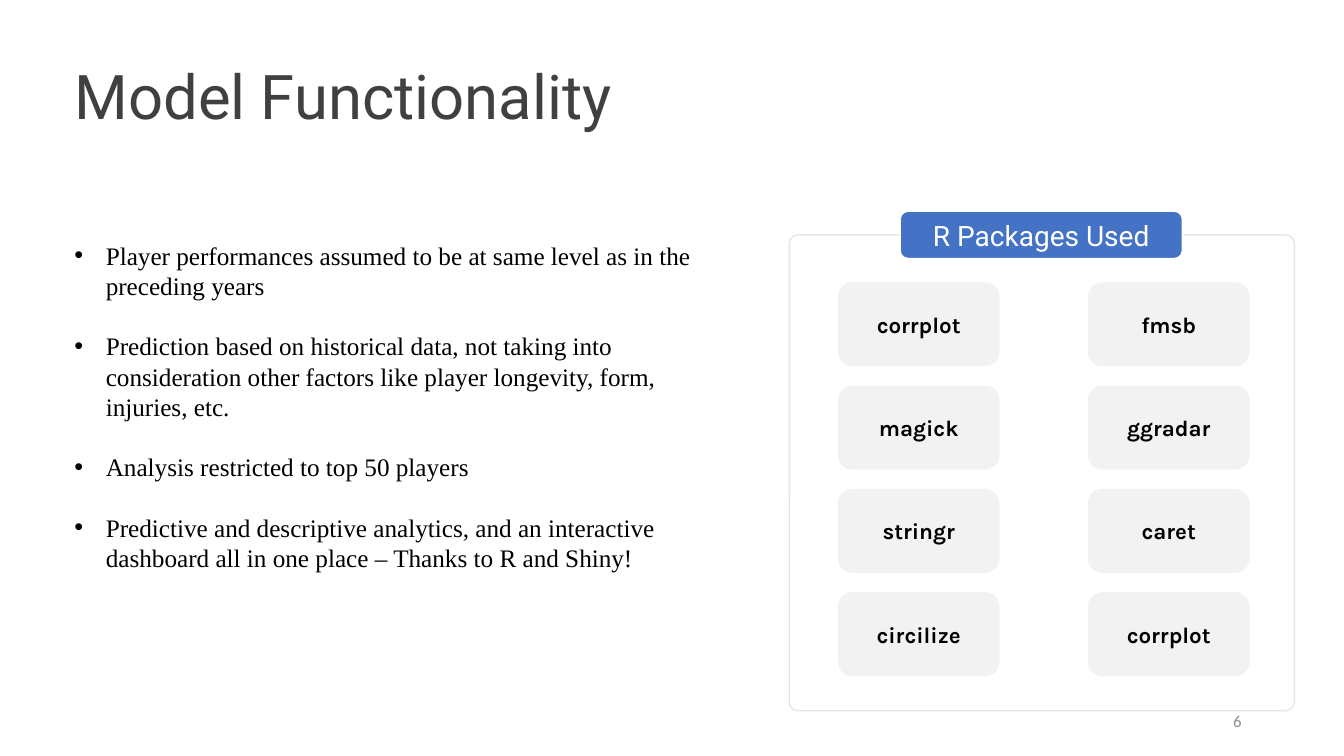
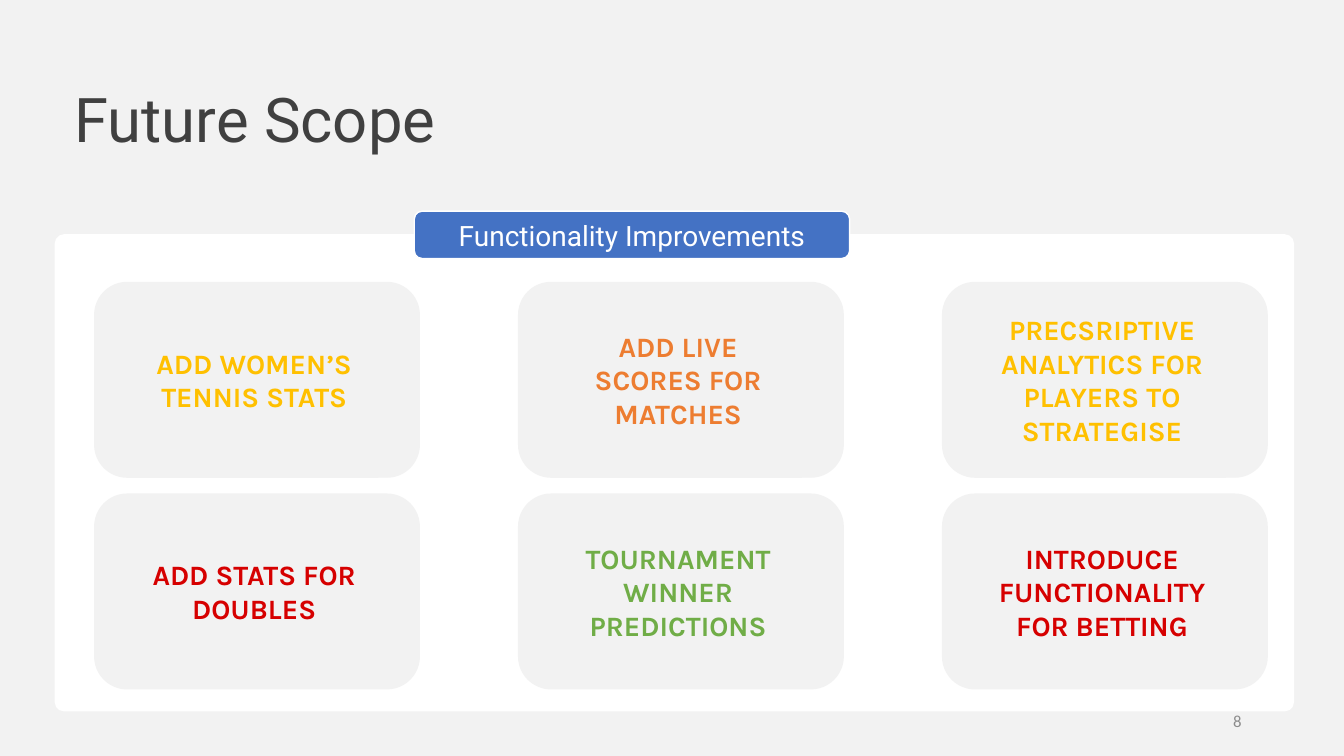
from pptx import Presentation
from pptx.dml.color import RGBColor
from pptx.enum.shapes import MSO_SHAPE
from pptx.enum.text import MSO_ANCHOR, MSO_AUTO_SIZE, PP_ALIGN
from pptx.oxml.xmlchemy import OxmlElement
from pptx.util import Pt

WHITE = RGBColor(0xFF, 0xFF, 0xFF)
BLACK = RGBColor(0x00, 0x00, 0x00)
PALE = RGBColor(0xF2, 0xF2, 0xF2)
BORDER = RGBColor(0xE7, 0xE6, 0xE6)
BLUE = RGBColor(0x44, 0x72, 0xC4)
CHARCOAL = RGBColor(0x40, 0x40, 0x40)
GRAY = RGBColor(0x8C, 0x8C, 0x8C)
GOLD = RGBColor(0xFF, 0xC0, 0x00)
ORANGE = RGBColor(0xED, 0x7D, 0x31)
RED = RGBColor(0xD6, 0x00, 0x00)
GREEN = RGBColor(0x70, 0xAD, 0x47)

TITLE_ONLY = 5
TAB_HEIGHT = 33.8
BULLET_INDENT = 22.5
BULLET_LINE = 21.6

ASSUMPTIONS = [
    "Player performances assumed to be at same level as in the preceding years",
    "Prediction based on historical data, not taking into consideration other "
    "factors like player longevity, form, injuries, etc.",
    "Analysis restricted to top 50 players",
    "Predictive and descriptive analytics, and an interactive dashboard all in "
    "one place – Thanks to R and Shiny!",
]
PACKAGES = [
    ("corrplot", "fmsb"),
    ("magick", "ggradar"),
    ("stringr", "caret"),
    ("circilize", "corrplot"),
]
IMPROVEMENTS = [
    [("ADD WOMEN’S TENNIS STATS", GOLD),
     ("ADD LIVE SCORES FOR MATCHES", ORANGE),
     ("PRECSRIPTIVE ANALYTICS FOR PLAYERS TO STRATEGISE", GOLD)],
    [("ADD STATS FOR DOUBLES", RED),
     ("TOURNAMENT WINNER PREDICTIONS", GREEN),
     ("INTRODUCE FUNCTIONALITY FOR BETTING", RED)],
]


def format_text(tf, font, size, color, align=PP_ALIGN.LEFT, bold=False):
    tf.word_wrap = True
    for p in tf.paragraphs:
        p.alignment = align
        for r in p.runs:
            r.font.name = font
            r.font.size = Pt(size)
            r.font.bold = bold
            r.font.color.rgb = color


def add_text_box(s, box):
    return s.shapes.add_textbox(*map(Pt, box)).text_frame


def add_round_rect(s, box, fill, line, corner=None):
    sp = s.shapes.add_shape(MSO_SHAPE.ROUNDED_RECTANGLE, *map(Pt, box))
    sp.shadow.inherit = False
    sp.fill.solid()
    sp.fill.fore_color.rgb = fill
    sp.line.color.rgb = line
    sp.line.width = Pt(1)
    if corner is not None:
        sp.adjustments[0] = corner
    return sp


def add_label(sp, text, font, size, color, bold=False):
    tf = sp.text_frame
    tf.text = text
    tf.vertical_anchor = MSO_ANCHOR.MIDDLE
    format_text(tf, font, size, color, PP_ALIGN.CENTER, bold)
    return tf


def add_titled_slide(prs, title, title_top, background, number):
    s = prs.slides.add_slide(prs.slide_layouts[TITLE_ONLY])
    s.background.fill.solid()
    s.background.fill.fore_color.rgb = background

    sp = s.shapes.title
    sp.left, sp.top, sp.width, sp.height = map(Pt, (46, title_top, 828, 104.4))
    tf = sp.text_frame
    tf.text = title
    tf.auto_size = MSO_AUTO_SIZE.NONE
    tf.vertical_anchor = MSO_ANCHOR.MIDDLE
    tf.paragraphs[0].line_spacing = 0.9
    format_text(tf, "Roboto", 44, CHARCOAL)

    tf = add_text_box(s, (678, 500.5, 216, 28.8))
    tf.text = number
    tf.vertical_anchor = MSO_ANCHOR.MIDDLE
    format_text(tf, "Calibri", 12, GRAY, PP_ALIGN.RIGHT)
    return s


def add_bullets(s, box, items):
    tf = add_text_box(s, box)
    tf.text = "\n".join(items)
    format_text(tf, "Times New Roman", 18, BLACK)
    for p in tf.paragraphs:
        p.line_spacing = Pt(BULLET_LINE)
        p.space_after = Pt(BULLET_LINE)
        props = p._p.get_or_add_pPr()
        props.set("marL", str(Pt(BULLET_INDENT)))
        props.set("indent", str(-Pt(BULLET_INDENT)))
        font = OxmlElement("a:buFont")
        font.set("typeface", "Arial")
        bullet = OxmlElement("a:buChar")
        bullet.set("char", "•")
        props.extend([font, bullet])


def add_panel(s, box, border, heading, tab_offset, tab_width):
    left, top = box[:2]
    add_round_rect(s, box, WHITE, border, 0.018)
    tab_box = (left + tab_offset, top - TAB_HEIGHT / 2, tab_width, TAB_HEIGHT)
    tab = add_round_rect(s, tab_box, BLUE, WHITE)
    add_label(tab, heading, "Roboto", 20, WHITE)


def add_cards(s, origin, size, pitch, rows, text_size, margins):
    for i, row in enumerate(rows):
        for j, (text, color) in enumerate(row):
            box = (origin[0] + j * pitch[0], origin[1] + i * pitch[1], *size)
            card = add_round_rect(s, box, PALE, PALE)
            tf = add_label(card, text, "Karla", text_size, color, True)
            tf.margin_left, tf.margin_right = map(Pt, margins)


def add_functionality_slide(prs):
    s = add_titled_slide(prs, "Model Functionality", 18.7, WHITE, "6")
    add_bullets(s, (46, 167.8, 465, 247), ASSUMPTIONS)
    panel = (563.8, 167.8, 360.7, 339.8)
    add_panel(s, panel, BORDER, "R Packages Used", 79.2, 201.6)
    rows = [[(name, BLACK) for name in row] for row in PACKAGES]
    add_cards(s, (panel[0] + 35.2, panel[1] + 34.3), (114.5, 59),
              (178.6, 73.8), rows, 16, (7.2, 7.2))


def add_future_slide(prs):
    s = add_titled_slide(prs, "Future Scope", 35.3, PALE, "8")
    panel = (39.6, 167.8, 884.2, 339.8)
    add_panel(s, panel, WHITE, "Functionality Improvements", 256.3, 311)
    add_cards(s, (panel[0] + 28.1, panel[1] + 34), (231.8, 139),
              (302.8, 151.2), IMPROVEMENTS, 20, (29, 33))


def main():
    prs = Presentation()
    prs.slide_width, prs.slide_height = Pt(960), Pt(540)
    add_functionality_slide(prs)
    add_future_slide(prs)
    prs.save("out.pptx")


if __name__ == "__main__":
    main()
